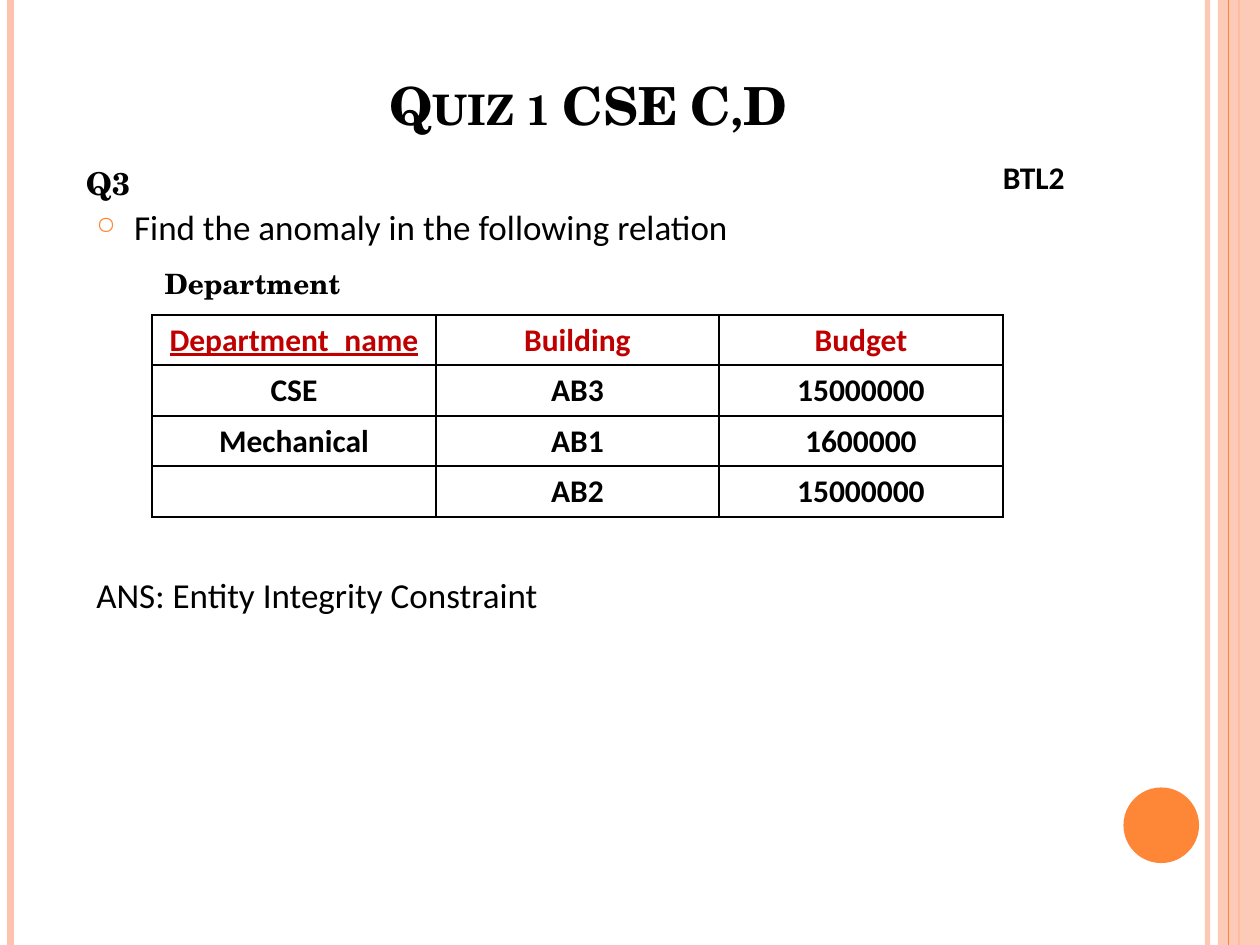
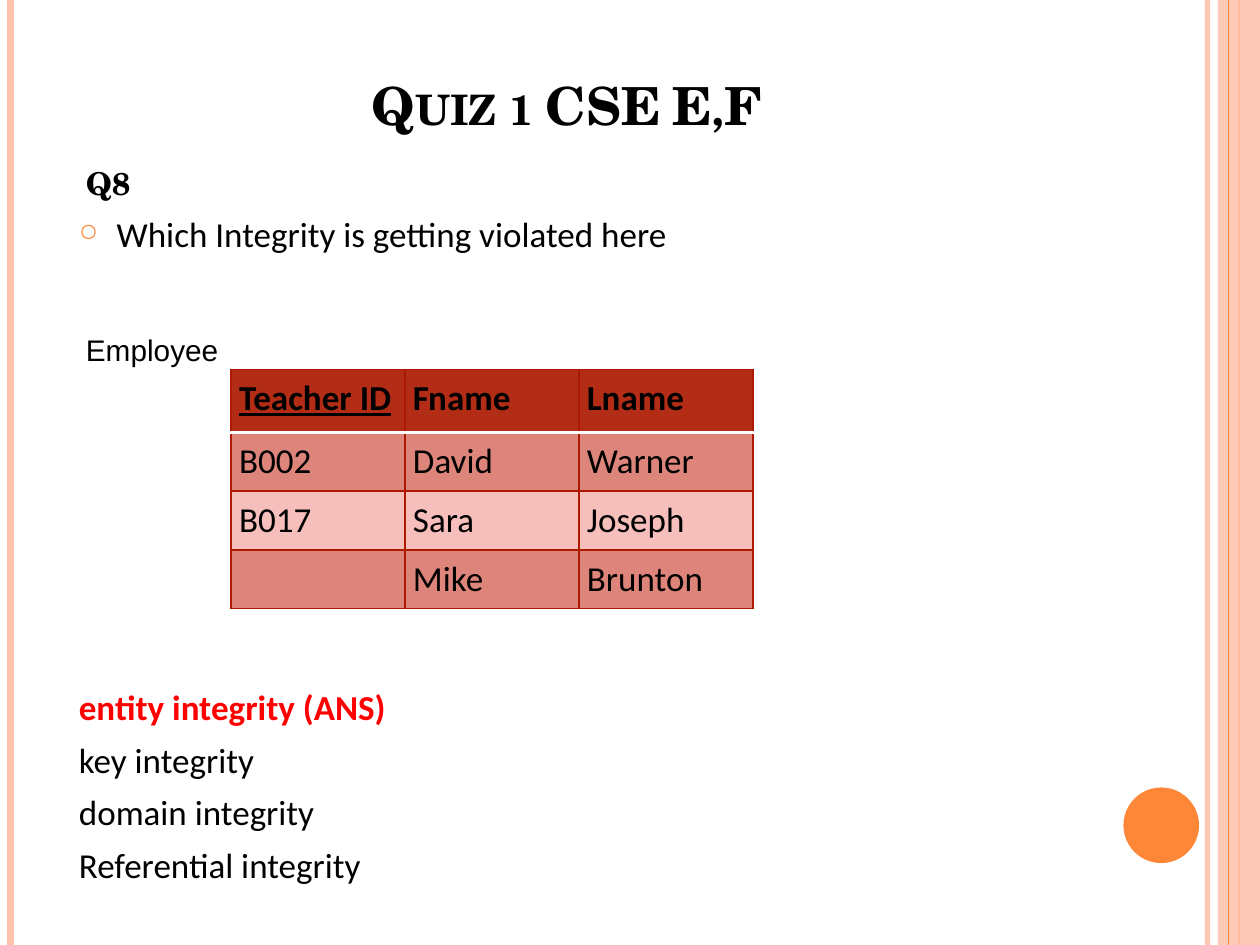
from lxml.etree import SubElement
from pptx import Presentation
from pptx.dml.color import RGBColor
from pptx.enum.shapes import MSO_CONNECTOR, MSO_SHAPE
from pptx.enum.text import MSO_ANCHOR, PP_ALIGN
from pptx.oxml.ns import qn
from pptx.util import Pt

COLORS = {
    "black": "000000", "white": "FFFFFF", "orange": "FE8637", "peach": "FEC3AE",
    "crimson": "C00000", "red": "FF0000", "brick": "B32C16", "border": "AC1800",
    "dark_band": "DD857A", "light_band": "F7BFBC",
}
SERIF, SANS, PLAIN = "TeX Gyre Schola", "Calibri", "Arial"
WIDTH, HEIGHT = 720, 540
BULLET_INDENT = 21.6


def rgb(name):
    return RGBColor.from_string(COLORS[name])


def set_opacity(shape, percent):
    for color in shape._element.iter(qn("a:srgbClr")):
        SubElement(color, qn("a:alpha"), val=str(percent * 1000))


def format_text(paragraph, text, size=20, font=SANS, color="black", bold=False,
                underline=False, small_caps=False, align=PP_ALIGN.LEFT):
    paragraph.alignment = align
    run = paragraph.add_run()
    run.text = text
    run.font.size, run.font.name = Pt(size), font
    run.font.bold, run.font.underline = bold, underline
    run.font.color.rgb = rgb(color)
    if small_caps:
        run._r.get_or_add_rPr().set("cap", "small")


def add_text(slide, box, *lines, anchor=MSO_ANCHOR.TOP, **style):
    """Each line is a string, or a (string, format) pair that overrides style."""
    frame = slide.shapes.add_textbox(*map(Pt, box)).text_frame
    frame.word_wrap = True
    frame.vertical_anchor = anchor
    for number, line in enumerate(lines):
        text, own = (line, {}) if isinstance(line, str) else line
        paragraph = frame.add_paragraph() if number else frame.paragraphs[0]
        if number:
            paragraph.space_before = Pt(6)
        format_text(paragraph, text, **{**style, **own})
    return frame


def add_bullet(paragraph):
    props = paragraph._p.get_or_add_pPr()
    props.set("marL", str(Pt(BULLET_INDENT)))
    props.set("indent", str(-Pt(BULLET_INDENT)))
    color = SubElement(props, qn("a:buClr"))
    SubElement(color, qn("a:srgbClr"), val=COLORS["orange"])
    SubElement(props, qn("a:buSzPct"), val="70000")
    SubElement(props, qn("a:buChar"), char="○")


def add_question(slide, box, text):
    add_bullet(add_text(slide, box, text).paragraphs[0])


def add_stripe(slide, x, color, width, opacity=100):
    stripe = slide.shapes.add_connector(MSO_CONNECTOR.STRAIGHT, Pt(x), 0, Pt(x), Pt(HEIGHT))
    stripe.line.color.rgb = rgb(color)
    stripe.line.width = Pt(width)
    SubElement(stripe._element.spPr, qn("a:effectLst"))
    if opacity < 100:
        set_opacity(stripe, opacity)


def add_solid(slide, kind, box, color):
    shape = slide.shapes.add_shape(kind, *map(Pt, box))
    shape.shadow.inherit = False
    shape.fill.solid()
    shape.fill.fore_color.rgb = rgb(color)
    shape.line.fill.background()
    return shape


def add_border(cell, side, color, width):
    line = SubElement(cell._tc.get_or_add_tcPr(), qn(f"a:ln{side}"), w=str(Pt(width)))
    fill = SubElement(line, qn("a:solidFill"))
    SubElement(fill, qn("a:srgbClr"), val=COLORS[color])


def add_table(slide, left, top, column_width, row_heights, rows, border,
              fills=None, header_rule=None, margin=3.6, side_margin=7.2,
              header_style=None, **style):
    columns = len(rows[0])
    table = slide.shapes.add_table(
        len(rows), columns, Pt(left), Pt(top),
        Pt(column_width * columns), Pt(sum(row_heights))).table
    table.first_row = table.horz_banding = False
    for column in table.columns:
        column.width = Pt(column_width)
    for r, texts in enumerate(rows):
        table.rows[r].height = Pt(row_heights[r])
        for c, text in enumerate(texts):
            cell = table.cell(r, c)
            cell.margin_top = cell.margin_bottom = Pt(margin)
            cell.margin_left = cell.margin_right = Pt(side_margin)
            # Borders precede the fill in the cell properties
            for side in "LRTB":
                under_header = (r, side) in ((0, "B"), (1, "T"))
                add_border(cell, side, *(header_rule if header_rule and under_header else border))
            if fills:
                cell.fill.solid()
                cell.fill.fore_color.rgb = rgb(fills[r])
            else:
                cell.fill.background()
            if text:
                # The first column holds the primary key
                own = {**header_style, "underline": c == 0} if r == 0 else {}
                format_text(cell.text_frame.paragraphs[0], text, **{**style, **own})


def add_quiz_slide(deck, title, title_left, number):
    slide = deck.slides.add_slide(deck.slide_layouts[6])
    # Side bands
    add_stripe(slide, 690, "peach", 3, opacity=93)
    add_stripe(slide, 6, "peach", 4.5)
    add_stripe(slide, 708, "orange", 1.5)
    set_opacity(add_solid(slide, MSO_SHAPE.RECTANGLE, (696, 0, 24, HEIGHT), "peach"), 87)
    add_stripe(slide, 702, "orange", 0.75)
    add_solid(slide, MSO_SHAPE.OVAL, (642, 450, 43.2, 43.2), "orange")
    # Heading and question number
    add_text(slide, (title_left, 18.5, 588, 63), title, anchor=MSO_ANCHOR.BOTTOM, size=30,
             font=SERIF, bold=True, small_caps=True, align=PP_ALIGN.CENTER)
    add_text(slide, (42, 90, 138, 29), number, size=18, font=SERIF, bold=True)
    return slide


def build_department_slide(deck):
    slide = add_quiz_slide(deck, "Quiz 1 CSE C,D", 42, "Q3")
    add_text(slide, (566, 87, 60, 29), "BTL2", size=18, bold=True)
    add_question(slide, (48, 114, 642, 32), "Find the anomaly in the following relation")
    add_text(slide, (87, 148.5, 141, 27), "Department", size=16, font=SERIF, bold=True)
    departments = [
        ("Department_name", "Building", "Budget"),
        ("CSE", "AB3", "15000000"),
        ("Mechanical", "AB1", "1600000"),
        ("", "AB2", "15000000"),
    ]
    add_table(slide, 87, 180, 162, [28.8] * 4, departments, ("black", 1.3),
              header_style={"color": "crimson"}, size=18, bold=True, align=PP_ALIGN.CENTER)
    add_text(slide, (48, 324, 642, 32), "ANS: Entity Integrity Constraint")


def build_employee_slide(deck):
    slide = add_quiz_slide(deck, "Quiz 1 CSE E,F", 30, "Q8")
    add_question(slide, (38, 118, 642, 32), "Which Integrity is getting violated here")
    add_text(slide, (42, 186, 116, 27), "Employee", size=17, font=PLAIN)
    employees = [
        ("Teacher ID", "Fname", "Lname"),
        ("B002", "David", "Warner"),
        ("B017", "Sara", "Joseph"),
        ("", "Mike", "Brunton"),
    ]
    add_table(slide, 132, 211, 99.4, [36] + [33.6] * 3, employees, ("border", 1),
              fills=["brick", "dark_band", "light_band", "dark_band"],
              header_rule=("white", 2), margin=4.6, side_margin=4.6,
              header_style={"bold": True})
    add_text(slide, (38, 388.4, 642, 124),
             ("entity integrity (ANS)", {"color": "red", "bold": True}),
             "key integrity", "domain integrity", "Referential integrity")


def main():
    deck = Presentation()
    deck.slide_width, deck.slide_height = Pt(WIDTH), Pt(HEIGHT)
    build_department_slide(deck)
    build_employee_slide(deck)
    deck.save("out.pptx")


if __name__ == "__main__":
    main()
